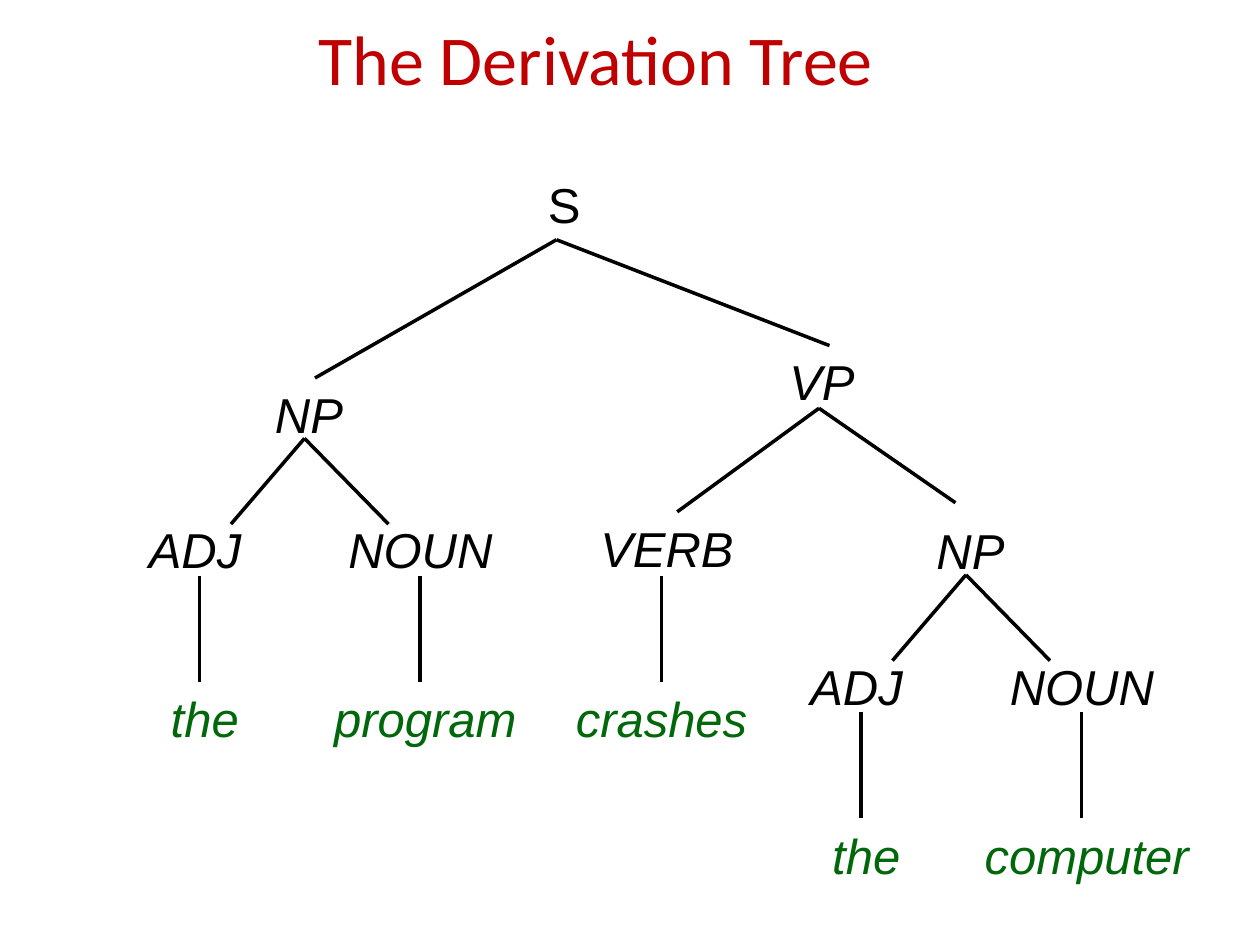
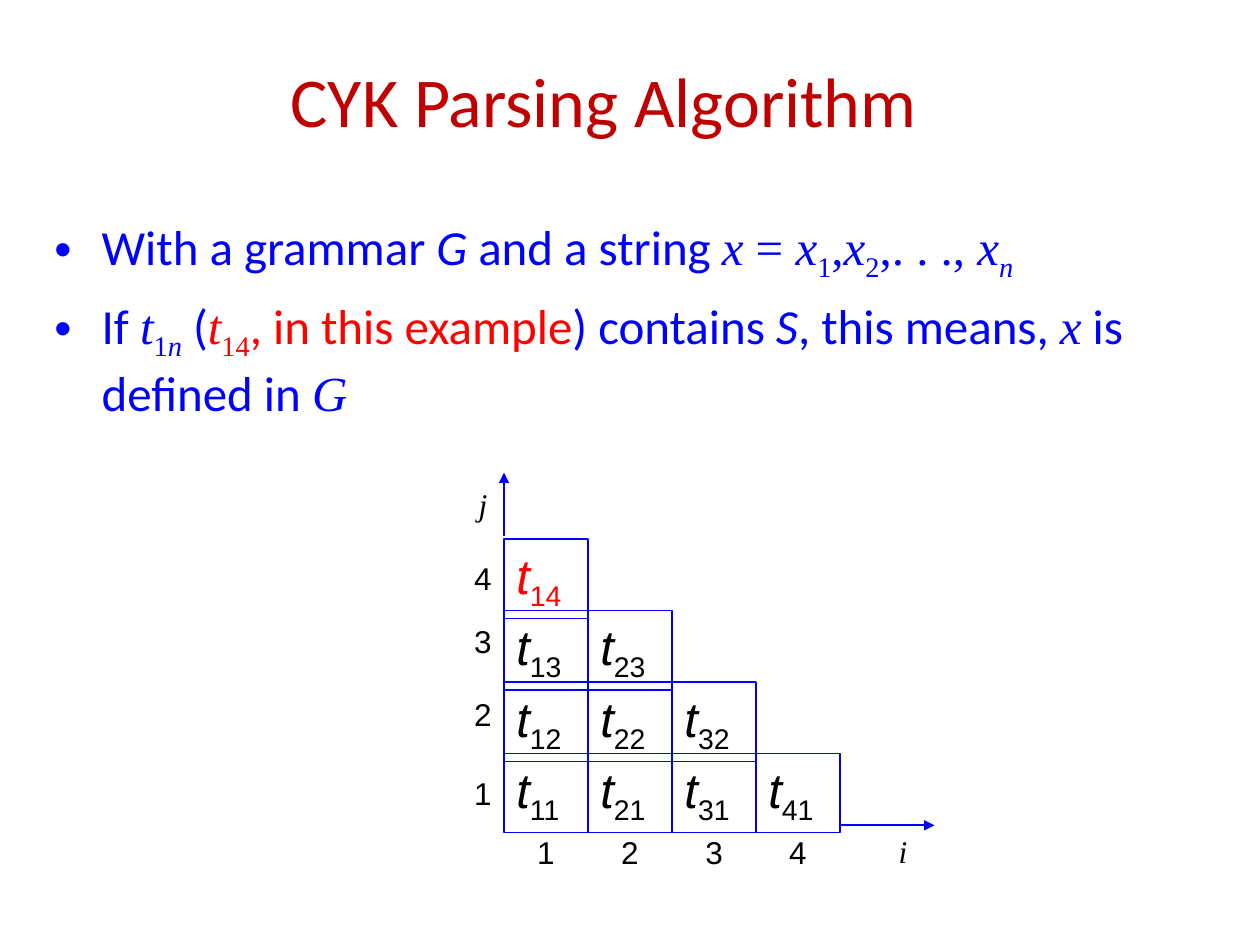
from lxml import etree
from pptx import Presentation
from pptx.dml.color import RGBColor
from pptx.enum.shapes import MSO_CONNECTOR, MSO_SHAPE
from pptx.enum.text import MSO_ANCHOR, MSO_AUTO_SIZE, PP_ALIGN
from pptx.oxml.ns import qn
from pptx.util import Pt

BLACK = RGBColor(0x00, 0x00, 0x00)
BLUE = RGBColor(0x00, 0x00, 0xFF)
RED = RGBColor(0xFF, 0x00, 0x00)
TITLE_RED = RGBColor(0xC0, 0x00, 0x00)
WORD_GREEN = RGBColor(0x01, 0x67, 0x0B)
SANS, BODY, SERIF = "Arial", "Calibri", "Times New Roman"
LEFT, CENTER = PP_ALIGN.LEFT, PP_ALIGN.CENTER
TOP_SIDE, BOTTOM_SIDE = 0, 2

TREE_TITLE = "The Derivation Tree "
CYK_TITLE = "CYK Parsing Algorithm"

# A run is (text, marks); marks: i italic, s subscript, t serif, r red
BULLETS = [
    [("With a grammar ", ""), ("G", "i"), (" and a string ", ""),
     ("x", "ti"), (" = ", "t"), ("x", "ti"), ("1", "ts"), (",", "t"),
     ("x", "ti"), ("2", "ts"), (",. . ., ", "t"), ("x", "ti"), ("n", "tis")],
    [("If ", ""), ("t", "ti"), ("1", "ts"), ("n", "tis"), (" (", ""),
     ("t", "tir"), ("14", "tsr"), (", in this example", "r"),
     (") contains ", ""), ("S", "i"), (", this means, ", ""), ("x", "ti"),
     (" is defined in ", ""), ("G", "ti")],
]

# Parse triangle: cell t(i, j) exists while i + j <= SIZE + 1
SIZE = 4
GRID_LEFT, BOTTOM_ROW_TOP = 288, 430.5
COLUMN_STEP, ROW_STEP, CELL_HEIGHT = 48, 40.8, 45.4
ROW_NUMBER_TOPS = [438.5, 393.8, 352, 316]
AXES = [((480, 471.6), (534, 471.6)), ((288, 306), (288, 270))]
AXIS_NAMES = [("i", 504, 471.6, 24), ("j", 252, 273.6, 48)]


def write(paragraph, runs, size, font, color):
    for text, marks in runs:
        run = paragraph.add_run()
        run.text = text
        run.font.size = Pt(size)
        run.font.name = SERIF if "t" in marks else font
        run.font.italic = "i" in marks
        run.font.color.rgb = RED if "r" in marks else color
        if "s" in marks:
            run.font._element.set("baseline", "-25000")


def add_text(slide, runs, left, top, width, height=41, size=28, font=SANS,
             color=BLACK, align=CENTER):
    box = slide.shapes.add_textbox(Pt(left), Pt(top), Pt(width), Pt(height))
    box.text_frame.word_wrap = True
    paragraph = box.text_frame.paragraphs[0]
    paragraph.alignment = align
    write(paragraph, runs, size, font, color)
    return box


def add_titled_slide(deck, title, top):
    slide = deck.slides.add_slide(deck.slide_layouts[6])
    box = add_text(slide, [(title, "")], 24, top, 642, 42, 40, BODY, TITLE_RED)
    box.text_frame.vertical_anchor = MSO_ANCHOR.MIDDLE
    return slide


def add_line(slide, start, end, color=BLACK, width=2, arrow=False):
    line = slide.shapes.add_connector(
        MSO_CONNECTOR.STRAIGHT, *(Pt(value) for value in (*start, *end)))
    line.line.color.rgb = color
    line.line.width = Pt(width)
    if arrow:
        etree.SubElement(line.line._get_or_add_ln(), qn("a:tailEnd"), type="triangle")
    etree.SubElement(line._element.spPr, qn("a:effectLst"))
    return line


def add_symbol(slide, symbol, left, top, width):
    return add_text(slide, [(symbol, "i")], left, top, width, align=LEFT)


def add_word(slide, word, left, top, width):
    return add_text(slide, [(word, "i")], left, top, width, color=WORD_GREEN)


def add_noun_phrase(slide, left, top, noun):
    """Draw NP with its ADJ and NOUN children and their words."""
    phrase = add_symbol(slide, "NP", left, top, 60)
    children = [
        ("ADJ", "the", -72, 78, -72, 78, -18, -36),
        ("NOUN", noun, 42, 102, 24, 138, 72, 90),
    ]
    for symbol, word, dx, width, word_dx, word_width, branch_dx, stem_dx in children:
        add_line(slide, (left + 24, top + 34.5), (left + branch_dx, top + 83.5))
        add_symbol(slide, symbol, left + dx, top + 77.5, width)
        add_line(slide, (left + stem_dx, top + 113), (left + stem_dx, top + 173.5))
        add_word(slide, word, left + word_dx, top + 174, word_width)
    return phrase


def build_tree(deck):
    slide = add_titled_slide(deck, TREE_TITLE, 12)
    sentence = add_text(slide, [("S", "")], 306, 96, 24)
    subject = add_noun_phrase(slide, 150, 216, "program")
    verb_phrase = add_symbol(slide, "VP", 444, 197.5, 60)
    verb = add_symbol(slide, "VERB", 336, 292.5, 102)
    crashes = add_word(slide, "crashes", 318, 390, 120)
    add_noun_phrase(slide, 528, 294, "computer")

    for child, top_middle in ((subject, (180, 216)), (verb_phrase, (474, 197.5))):
        branch = add_line(slide, (318, 137), top_middle)
        branch.begin_connect(sentence, BOTTOM_SIDE)
        branch.end_connect(child, TOP_SIDE)
    fork = (468, 233.3)
    add_line(slide, fork, (387, 292.5)).end_connect(verb, TOP_SIDE)
    add_line(slide, fork, (546, 287.3))
    add_line(slide, (378, 329), (378, 390)).end_connect(crashes, TOP_SIDE)


def add_bullets(slide):
    box = slide.shapes.add_textbox(Pt(24), Pt(120), Pt(646.5), Pt(162))
    frame = box.text_frame
    frame.word_wrap = True
    for number, runs in enumerate(BULLETS):
        paragraph = frame.add_paragraph() if number else frame.paragraphs[0]
        paragraph.space_before = Pt(7)
        properties = paragraph._p.get_or_add_pPr()
        properties.set("marL", str(Pt(27)))
        properties.set("indent", str(-Pt(27)))
        bullet_color = etree.SubElement(properties, qn("a:buClr"))
        etree.SubElement(bullet_color, qn("a:srgbClr"), val=str(BLUE))
        etree.SubElement(properties, qn("a:buFont"), typeface=SANS)
        etree.SubElement(properties, qn("a:buChar"), char="•")
        write(paragraph, runs, 28, BODY, BLUE)


def add_cell(slide, i, j):
    cell = slide.shapes.add_shape(
        MSO_SHAPE.RECTANGLE,
        Pt(GRID_LEFT + (i - 1) * COLUMN_STEP),
        Pt(BOTTOM_ROW_TOP - (j - 1) * ROW_STEP),
        Pt(COLUMN_STEP), Pt(CELL_HEIGHT))
    cell.shadow.inherit = False
    cell.fill.background()
    cell.line.color.rgb = BLUE
    cell.line.width = Pt(0.75)
    frame = cell.text_frame
    frame.word_wrap = True
    frame.auto_size = MSO_AUTO_SIZE.SHAPE_TO_FIT_TEXT
    frame.vertical_anchor = MSO_ANCHOR.TOP
    frame.paragraphs[0].alignment = LEFT
    color = RED if (i, j) == (1, SIZE) else BLACK
    write(frame.paragraphs[0], [("t", "i"), (f"{i}{j}", "s")], 28, SANS, color)


def build_cyk(deck):
    slide = add_titled_slide(deck, CYK_TITLE, 36)
    add_bullets(slide)
    for i in range(1, SIZE + 1):
        for j in range(SIZE + 1 - i, 0, -1):
            add_cell(slide, i, j)
    for start, end in AXES:
        add_line(slide, start, end, BLUE, 1, arrow=True)
    for number, row_top in enumerate(ROW_NUMBER_TOPS, 1):
        column_left = GRID_LEFT + (number - 1) * COLUMN_STEP
        for left, top in ((column_left, 472.3), (252, row_top)):
            add_text(slide, [(str(number), "")], left, top, COLUMN_STEP, 29, 18)
    for name, left, top, width in AXIS_NAMES:
        add_text(slide, [(name, "ti")], left, top, width, 29, 18)


def main():
    deck = Presentation()
    deck.slide_width, deck.slide_height = Pt(720), Pt(540)
    build_tree(deck)
    build_cyk(deck)
    deck.save("out.pptx")


if __name__ == "__main__":
    main()
